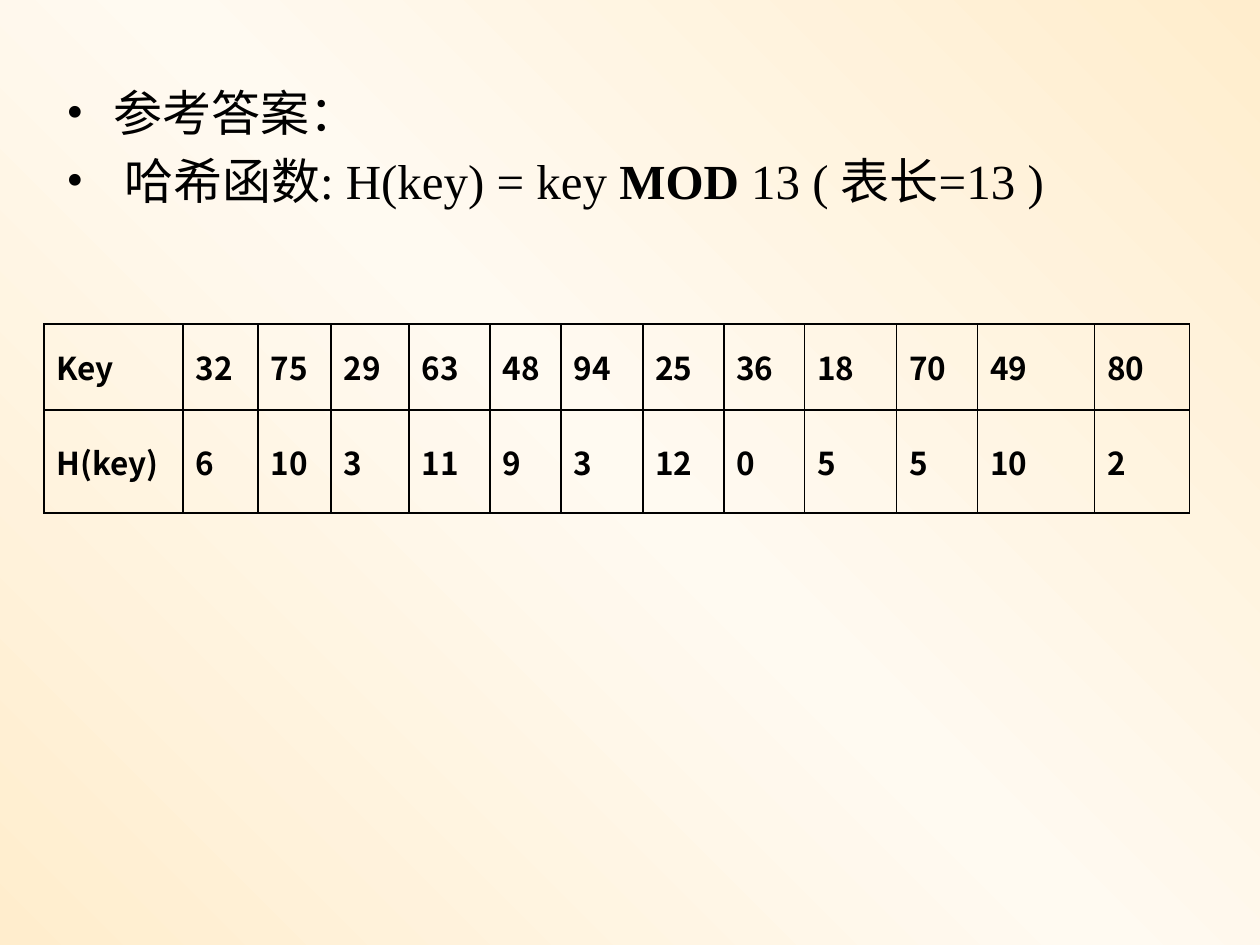
from copy import deepcopy

from lxml import etree
from pptx import Presentation
from pptx import util as u
from pptx.dml.color import RGBColor
from pptx.enum import text
from pptx.oxml import ns

PX = 914400 // 126
INDENT = 47
BODY_FONT, CJK_FONT = "Times New Roman", "Noto Sans CJK SC"
FORMULA = [" 哈希函数: H(key) = key ", "MOD", " 13 ( 表长=13 )"]
KEYS = ["Key", "32", "75", "29", "63", "48", "94", "25", "36", "18", "70", "49", "80"]
HASHES = ["H(key)", "6", "10", "3", "11", "9", "3", "12", "0", "5", "5", "10", "2"]
COLUMNS = [139, 75, 73, 78, 81, 71, 82, 81, 81, 92, 81, 117, 95]
ROWS = [86, 103]


def color(value):
    return RGBColor.from_string(value)


def child(parent, tag, **attributes):
    return etree.SubElement(parent, ns.qn(tag), attributes)


class Deck:
    """Holds the style and the current slide."""

    def __init__(self, width, height, ink):
        self.ink = ink
        self.presentation = Presentation()
        self.presentation.slide_width = width * PX
        self.presentation.slide_height = height * PX
        self.slide = self.presentation.slides.add_slide(self.presentation.slide_layouts[6])

    def background(self, colors, angle):
        fill = self.slide.background.fill
        fill.gradient()
        fill.gradient_angle = angle
        stop_list = self.slide.element.find(".//" + ns.qn("a:gsLst"))
        while len(stop_list) < len(colors):
            stop_list.append(deepcopy(stop_list[0]))
        for index, (stop, value) in enumerate(zip(fill.gradient_stops, colors)):
            stop.position = index / (len(colors) - 1)
            stop.color.rgb = color(value)

    def style(self, run, size, font, bold=False):
        run.font.size = u.Pt(size)
        run.font.name = font
        run.font.bold = bold
        run.font.color.rgb = color(self.ink)
        child(run.font._element, "a:ea", typeface=CJK_FONT)

    def hang(self, paragraph):
        properties = paragraph._p.get_or_add_pPr()
        properties.set("marL", str(INDENT * PX))
        properties.set("indent", str(-INDENT * PX))
        return properties

    def bullets(self, left, top, width, height, items, size):
        frame = self.slide.shapes.add_textbox(*(n * PX for n in (left, top, width, height))).text_frame
        frame.word_wrap = True
        for index, parts in enumerate(items):
            paragraph = frame.add_paragraph() if index else frame.paragraphs[0]
            paragraph.space_before = u.Pt(size * 0.2)
            properties = self.hang(paragraph)
            child(properties, "a:buFont", typeface=BODY_FONT)
            child(properties, "a:buChar", char="•")
            for part in parts:
                run = paragraph.add_run()
                run.text = part
                self.style(run, size, BODY_FONT, bold=part == "MOD")

    def border(self, cell):
        properties = cell._tc.get_or_add_tcPr()
        for side in ("a:lnL", "a:lnR", "a:lnT", "a:lnB"):
            line = child(properties, side, w=str(u.Pt(1)))
            child(child(line, "a:solidFill"), "a:srgbClr", val=self.ink)

    def table(self, left, top, columns, rows, values, size):
        grid = self.slide.shapes.add_table(
            len(rows), len(columns), left * PX, top * PX, sum(columns) * PX, sum(rows) * PX
        ).table
        grid.first_row = grid.horz_banding = False
        for column, width in zip(grid.columns, columns):
            column.width = width * PX
        for row, height, labels in zip(grid.rows, rows, values):
            row.height = height * PX
            for cell, label in zip(row.cells, labels):
                cell.text_frame.text = label
                cell.vertical_anchor = text.MSO_ANCHOR.MIDDLE
                paragraph = cell.text_frame.paragraphs[0]
                self.hang(paragraph)
                self.style(paragraph.runs[0], size, CJK_FONT, bold=True)
                self.border(cell)
                cell.fill.background()


def main():
    deck = Deck(1260, 945, "000000")
    deck.background(["FFEDCD", "FFFAF1", "FFEDCD"], 45)
    deck.bullets(54, 76, 1101, 160, [["参考答案："], FORMULA], 28)
    deck.table(44, 324, COLUMNS, ROWS, [KEYS, HASHES], 18)
    deck.presentation.save("out.pptx")


if __name__ == "__main__":
    main()
